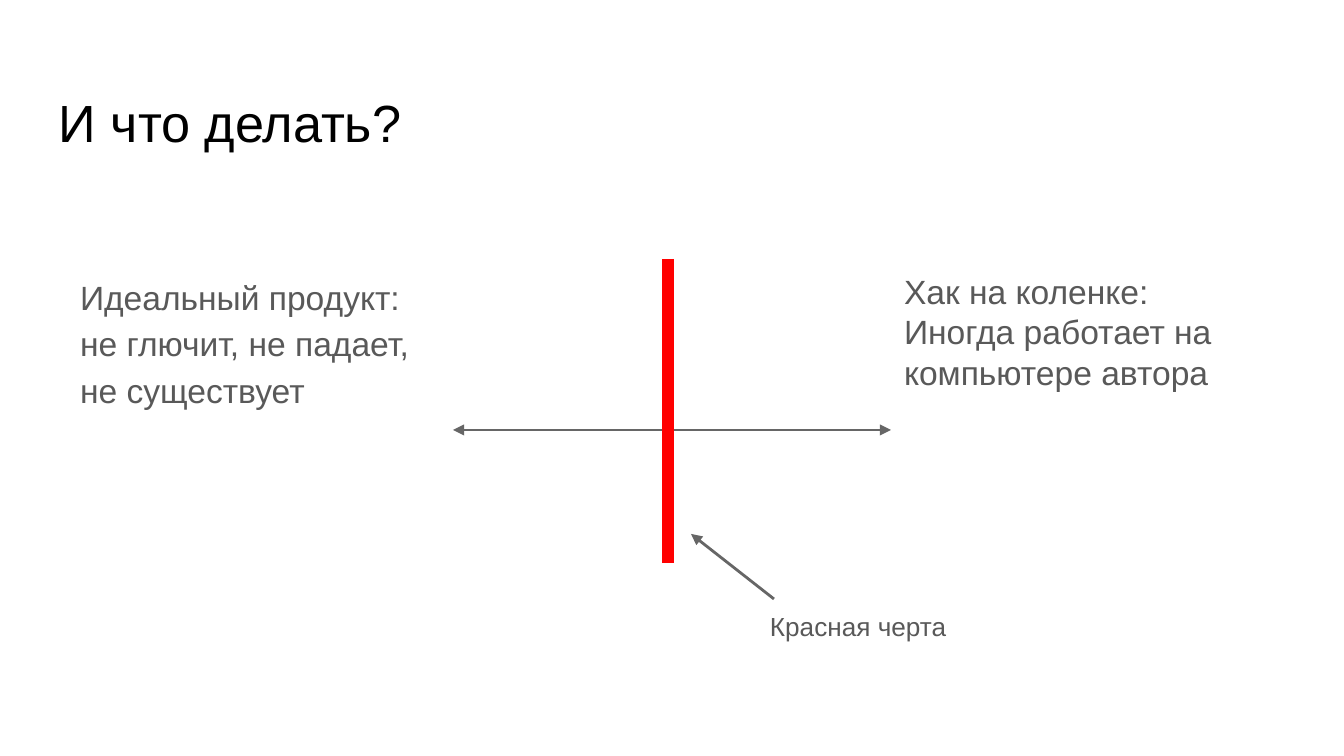
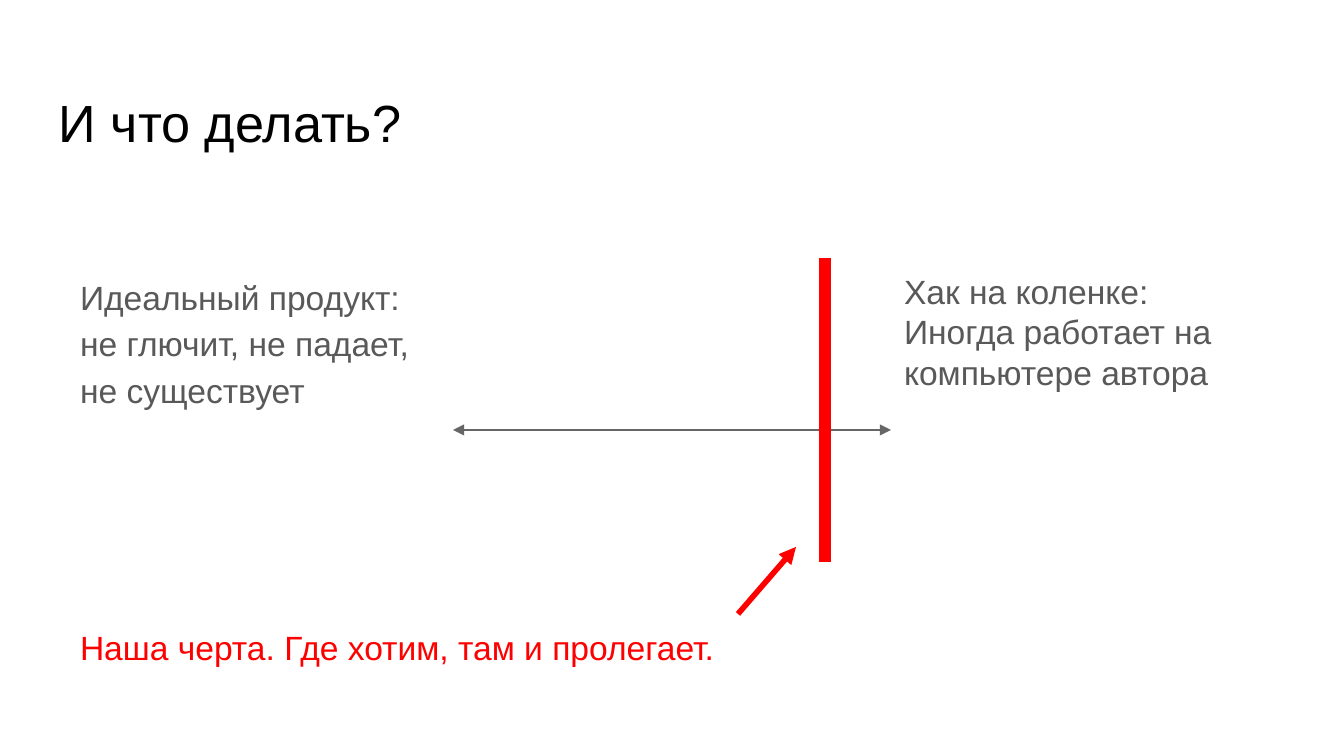
import pptx
import pptx.util
import pptx.dml.color
import pptx.enum.shapes
import pptx.oxml.ns
from lxml import etree
from dataclasses import dataclass


@dataclass(frozen=True)
class Theme:
    font: str = "Arial"
    ink: str = "000000"
    body: str = "595959"
    axis: str = "666666"
    accent: str = "FF0000"
    title_size: int = 28
    body_size: int = 18
    note_size: int = 14
    thin: float = 1.5
    medium: float = 3
    thick: float = 6


THEME = Theme()

# Content
TITLE = "И что делать?"
IDEAL = ["Идеальный продукт: не глючит, не падает, не существует"]
HACK = ["Хак на коленке:", "Иногда работает на компьютере автора"]
SLIDES = [
    dict(bar=(668, 259), note="Красная черта", note_box=(757, 597, 538, 67),
         note_size=THEME.note_size, note_color=THEME.body,
         pointer=((774, 599), (691, 534)),
         pointer_color=THEME.axis, pointer_width=THEME.thin),
    dict(bar=(825, 258), note="Наша черта. Где хотим, там и пролегает.",
         note_box=(67, 614, 751, 67),
         note_size=THEME.body_size, note_color=THEME.accent,
         pointer=((738, 614), (796, 547)),
         pointer_color=THEME.accent, pointer_width=THEME.medium),
]

# Layout in pixels
WIDTH, HEIGHT = 1344, 756
TITLE_BOX = (46, 77, 1253, 84)
MARGIN, COLUMN_TOP, COLUMN_WIDTH, COLUMN_HEIGHT = 67, 258, 386, 343
RIGHT_COLUMN = WIDTH - MARGIN - COLUMN_WIDTH
AXIS_Y = COLUMN_TOP + COLUMN_HEIGHT // 2 + 1
BAR_LENGTH = 304
INSET = 13
EMU_PER_PIXEL = 914400 / 134.4


def emu(pixels):
    return pptx.util.Emu(round(pixels * EMU_PER_PIXEL))


def color(code):
    return pptx.dml.color.RGBColor.from_string(code)


def add_text(slide, box, lines, size, text_color, spacing=None, after=None):
    shape = slide.shapes.add_textbox(*map(emu, box))
    frame = shape.text_frame
    frame.word_wrap = True
    frame.margin_left = frame.margin_right = emu(INSET)
    frame.margin_top = frame.margin_bottom = emu(INSET)
    frame.text = "\n".join(lines)
    for paragraph in frame.paragraphs:
        paragraph.font.name = THEME.font
        paragraph.font.size = pptx.util.Pt(size)
        paragraph.font.color.rgb = color(text_color)
        if spacing:
            paragraph.line_spacing = spacing
        if after:
            paragraph.space_after = pptx.util.Pt(after)


def add_line(slide, start, end, line_color, width, arrows=()):
    connector = slide.shapes.add_connector(
        pptx.enum.shapes.MSO_CONNECTOR.STRAIGHT, *map(emu, start + end))
    connector.line.color.rgb = color(line_color)
    connector.line.width = pptx.util.Pt(width)
    outline = connector.line._get_or_add_ln()
    for arrow in arrows:
        etree.SubElement(outline, pptx.oxml.ns.qn("a:" + arrow),
                         type="triangle", w="med", len="med")
    etree.SubElement(connector._element.spPr, pptx.oxml.ns.qn("a:effectLst"))


def add_scale(slide):
    """Title, both extremes and the axis between them."""
    add_text(slide, TITLE_BOX, [TITLE], THEME.title_size, THEME.ink)
    add_text(slide, (MARGIN, COLUMN_TOP, COLUMN_WIDTH, COLUMN_HEIGHT),
             IDEAL, THEME.body_size, THEME.body, spacing=1.15, after=16)
    add_text(slide, (RIGHT_COLUMN, COLUMN_TOP, COLUMN_WIDTH, COLUMN_HEIGHT),
             HACK, THEME.body_size, THEME.body)
    add_line(slide, (MARGIN + COLUMN_WIDTH, AXIS_Y), (RIGHT_COLUMN, AXIS_Y),
             THEME.axis, THEME.thin, ("headEnd", "tailEnd"))


presentation = pptx.Presentation()
presentation.slide_width, presentation.slide_height = emu(WIDTH), emu(HEIGHT)

for content in SLIDES:
    slide = presentation.slides.add_slide(presentation.slide_layouts[6])
    add_scale(slide)
    # Red bar with its note and pointer
    x, top = content["bar"]
    add_line(slide, (x, top), (x, top + BAR_LENGTH), THEME.accent, THEME.thick)
    add_text(slide, content["note_box"], [content["note"]],
             content["note_size"], content["note_color"])
    add_line(slide, *content["pointer"], content["pointer_color"],
             content["pointer_width"], ("tailEnd",))

presentation.save("out.pptx")
